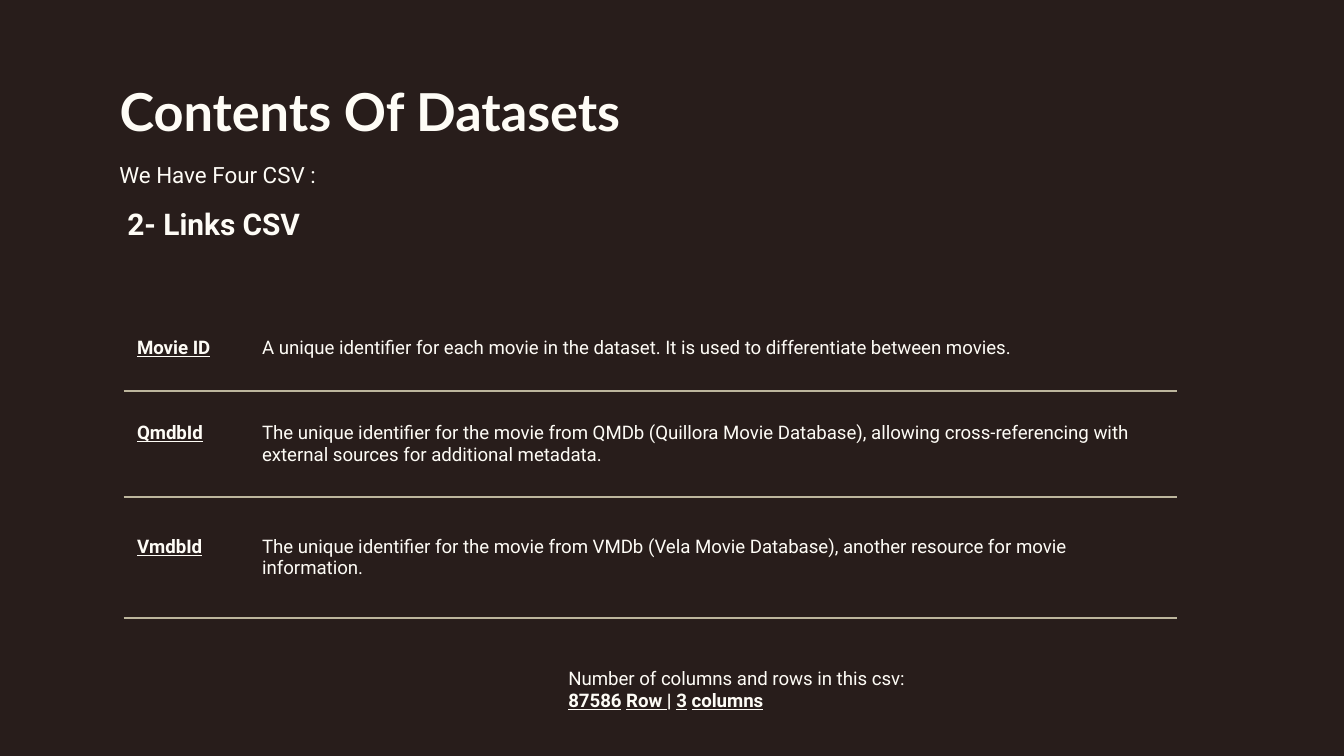
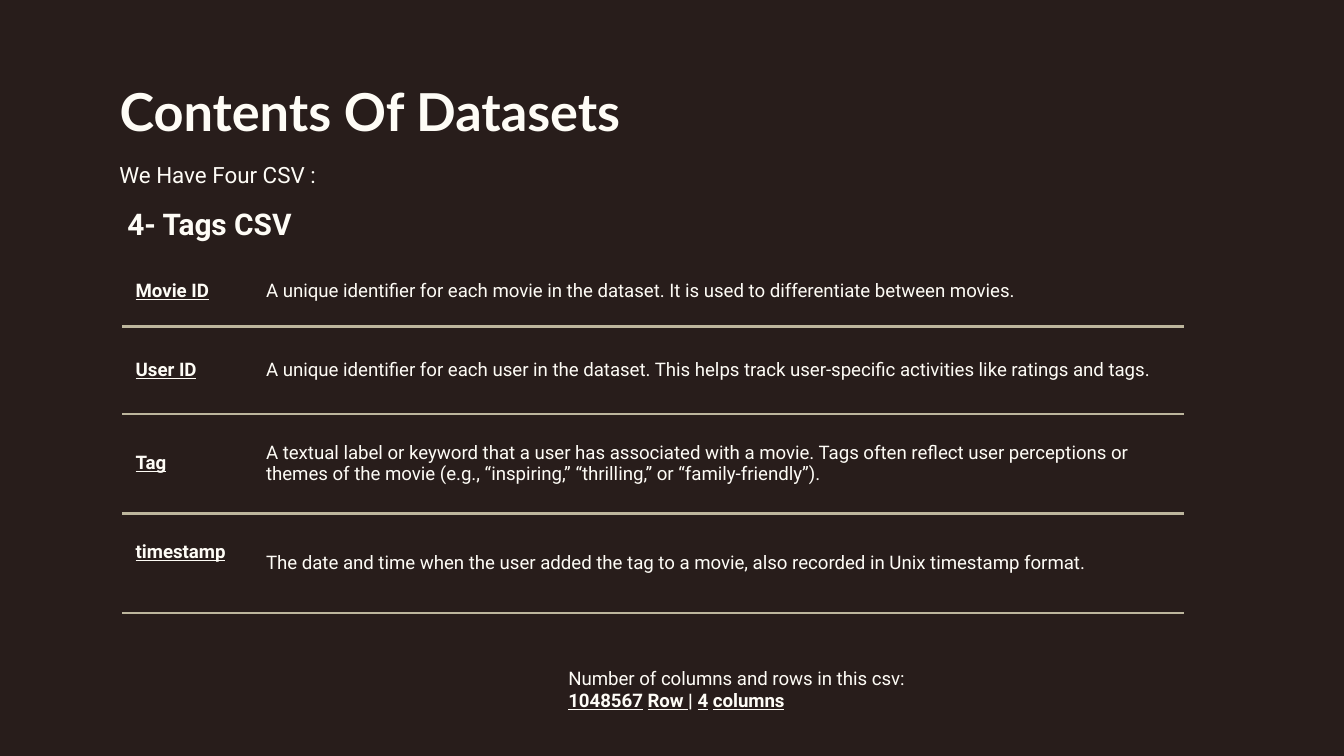
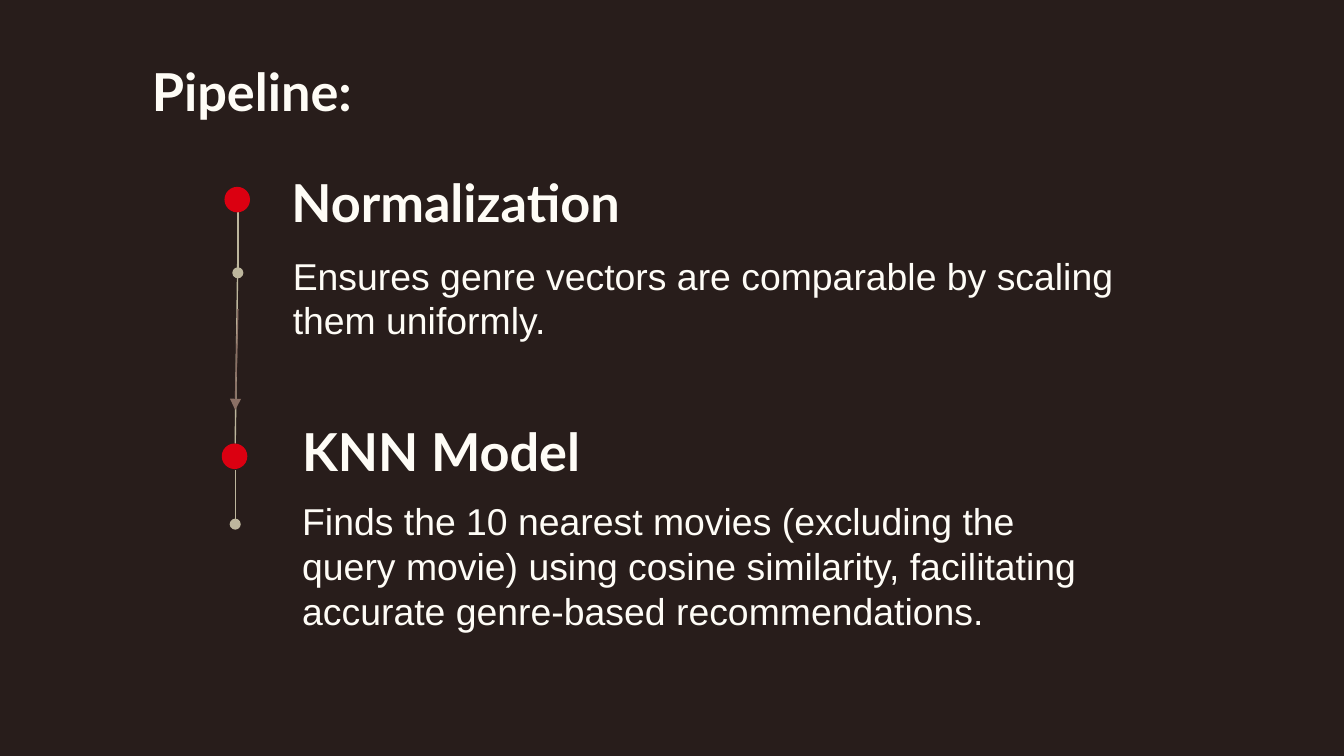
from dataclasses import dataclass

from lxml.etree import SubElement
from pptx import Presentation
from pptx.dml.color import RGBColor
from pptx.enum.shapes import MSO_CONNECTOR, MSO_SHAPE
from pptx.enum.text import MSO_ANCHOR, PP_ALIGN
from pptx.oxml import parse_xml
from pptx.oxml.ns import nsdecls, qn
from pptx.util import Inches, Pt

NO_STYLE_TABLE = "{2D5ABB26-0587-4C30-8999-92F81FD0307C}"


@dataclass(frozen=True)
class Theme:
    background: str = "281D1B"
    text: str = "FEFCF6"
    rule: str = "BDB69D"
    arrow: str = "8B7065"
    marker: str = "DB0011"
    heading_font: str = "Lato"
    table_font: str = "Roboto"
    body_font: str = "Arial"
    heading_size: float = 28
    body_size: float = 20
    section_size: float = 16
    intro_size: float = 12
    table_size: float = 10
    rule_width: float = 1.5
    connector_width: float = 0.75


class Deck:
    def __init__(self, theme):
        self.theme = theme
        self.presentation = Presentation()
        self.presentation.slide_width = Inches(10)
        self.presentation.slide_height = Inches(10) * 9 // 16
        fill = self.presentation.slide_master.background.fill
        fill.solid()
        fill.fore_color.rgb = RGBColor.from_string(theme.background)
        self.slide = None

    def format_run(self, run, font_name, size, bold=False, underline=False):
        font = run.font
        font.name = font_name
        font.size = Pt(size)
        font.bold = bold
        font.underline = underline
        font.color.rgb = RGBColor.from_string(self.theme.text)

    def fill_frame(self, text_frame, text, font_name, size, bold=False,
                   anchor=MSO_ANCHOR.TOP, line_spacing=None):
        text_frame.text = text
        text_frame.word_wrap = True
        text_frame.vertical_anchor = anchor
        text_frame.margin_left = text_frame.margin_right = Inches(0.1)
        text_frame.margin_top = text_frame.margin_bottom = Inches(0.1)
        paragraph = text_frame.paragraphs[0]
        paragraph.alignment = PP_ALIGN.LEFT
        if line_spacing:
            paragraph.line_spacing = line_spacing
        for run in paragraph.runs:
            self.format_run(run, font_name, size, bold)

    def add_slide(self, title, left, top, width, height):
        """Start a slide and place its title."""
        self.slide = self.presentation.slides.add_slide(self.presentation.slide_layouts[5])
        shape = self.slide.shapes.title
        shape.left, shape.top = Inches(left), Inches(top)
        shape.width, shape.height = Inches(width), Inches(height)
        self.fill_frame(shape.text_frame, title, self.theme.heading_font,
                        self.theme.heading_size, bold=True)

    def add_text(self, text, left, top, width, height, font_name, size, **style):
        shape = self.slide.shapes.add_textbox(
            Inches(left), Inches(top), Inches(width), Inches(height))
        self.fill_frame(shape.text_frame, text, font_name, size, **style)
        return shape

    def add_heading(self, text, left, top, width, height):
        self.add_text(text, left, top, width, height, self.theme.heading_font,
                      self.theme.heading_size, bold=True, anchor=MSO_ANCHOR.MIDDLE)

    def add_body(self, text, left, top, width, height):
        self.add_text(text, left, top, width, height,
                      self.theme.body_font, self.theme.body_size)

    def add_counts(self, row_count, column_count):
        theme = self.theme
        shape = self.add_text("Number of columns and rows in this csv:", 4.13, 4.86,
                              3.92, 0.76, theme.table_font, theme.table_size)
        paragraph = shape.text_frame.paragraphs[0]
        paragraph.add_line_break()
        parts = ((row_count, True), (" ", False), ("Row ", True), ("| ", False),
                 (column_count, True), (" ", False), ("columns", True))
        for text, underline in parts:
            run = paragraph.add_run()
            run.text = text
            self.format_run(run, theme.table_font, theme.table_size, True, underline)

    def add_field_table(self, left, top, column_widths, fields):
        """Add a table from fields of (row height, name, description, name is raised)."""
        frame = self.slide.shapes.add_table(
            len(fields), 2, Inches(left), Inches(top), Inches(sum(column_widths)),
            Inches(sum(field[0] for field in fields)))
        table = frame.table
        table.first_row = table.horz_banding = False
        next(frame.element.iter(qn("a:tableStyleId"))).text = NO_STYLE_TABLE
        for column, width in zip(table.columns, column_widths):
            column.width = Inches(width)
        for row, (height, name, description, raised) in zip(table.rows, fields):
            row.height = Inches(height)
            name_cell, description_cell = row.cells
            self.fill_cell(name_cell, name, is_name=True)
            self.fill_cell(description_cell, description)
            description_cell.text_frame.paragraphs[0].space_after = Pt(16)
            if raised:
                name_cell.margin_bottom = Inches(0.16)

    def fill_cell(self, cell, text, is_name=False):
        theme = self.theme
        cell.text_frame.text = text
        cell.vertical_anchor = MSO_ANCHOR.MIDDLE
        cell.margin_left = cell.margin_right = Inches(0.1)
        cell.margin_top = cell.margin_bottom = 0
        cell.fill.background()
        self.format_run(cell.text_frame.paragraphs[0].runs[0], theme.table_font,
                        theme.table_size, is_name, is_name)
        border = parse_xml(
            f'<a:lnB {nsdecls("a")} w="{Pt(theme.rule_width)}"><a:solidFill>'
            f'<a:srgbClr val="{theme.rule}"/></a:solidFill></a:lnB>')
        cell._tc.get_or_add_tcPr().insert(0, border)

    def add_line(self, start, end, color, tail=None):
        connector = self.slide.shapes.add_connector(
            MSO_CONNECTOR.STRAIGHT, *(Inches(value) for value in (*start, *end)))
        connector.line.width = Pt(self.theme.connector_width)
        connector.line.color.rgb = RGBColor.from_string(color)
        properties = connector.element.spPr
        if tail:
            SubElement(properties.find(qn("a:ln")), qn("a:tailEnd"), type=tail)
        SubElement(properties, qn("a:effectLst"))

    def add_marker(self, left, top, diameter=0.19):
        shape = self.slide.shapes.add_shape(
            MSO_SHAPE.OVAL, Inches(left), Inches(top), Inches(diameter), Inches(diameter))
        shape.shadow.inherit = False
        shape.fill.solid()
        shape.fill.fore_color.rgb = RGBColor.from_string(self.theme.marker)
        shape.line.fill.background()

    def add_dataset_slide(self, section, table_left, table_top, column_widths,
                          fields, row_count):
        theme = self.theme
        self.add_slide("Contents Of Datasets", 0.79, 0.49, 8.43, 0.63)
        self.add_field_table(table_left, table_top, column_widths, fields)
        self.add_text("We Have Four CSV :", 0.79, 1.07, 8.43, 0.33,
                      theme.table_font, theme.intro_size, line_spacing=1.15)
        self.add_text(section, 0.85, 1.43, 2.53, 0.55,
                      theme.table_font, theme.section_size, bold=True)
        self.add_counts(row_count, str(len(fields)))

    def add_pipeline_slide(self):
        theme = self.theme
        self.add_slide("Pipeline:", 1.03, 0.34, 7.63, 0.49)
        self.add_line((1.77, 1.88), (1.75, 3.3), theme.rule)
        self.add_line((1.77, 1.58), (1.77, 2.03), theme.rule, "oval")
        self.add_line((1.75, 3.5), (1.75, 3.9), theme.rule, "oval")
        self.add_marker(1.67, 1.39)
        self.add_marker(1.65, 3.3)
        self.add_line((1.77, 2.3), (1.75, 3.05), theme.arrow, "triangle")
        self.add_heading("Normalization", 2.07, 1.13, 3.09, 0.74)
        self.add_heading("KNN Model", 2.15, 2.86, 2.85, 0.98)
        self.add_body("Ensures genre vectors are comparable by scaling them uniformly.",
                      2.08, 1.78, 6.35, 0.89)
        self.add_body("Finds the 10 nearest movies (excluding the query movie) using cosine "
                      "similarity, facilitating accurate genre-based recommendations.",
                      2.15, 3.61, 6.18, 1.12)


MOVIE_ID = ("Movie ID", "A unique identifier for each movie in the dataset. "
            "It is used to differentiate between movies.", False)
LINK_FIELDS = (
    (0.64, *MOVIE_ID),
    (0.79, "QmdbId", "The unique identifier for the movie from QMDb (Quillora Movie "
     "Database), allowing cross-referencing with external sources for additional "
     "metadata.", True),
    (0.9, "VmdbId", "The unique identifier for the movie from VMDb (Vela Movie Database), "
     "another resource for movie information.", True),
)
TAG_FIELDS = (
    (0.52, *MOVIE_ID),
    (0.65, "User ID", "A unique identifier for each user in the dataset. This helps track "
     "user-specific activities like ratings and tags.", False),
    (0.74, "Tag", "A textual label or keyword that a user has associated with a movie. Tags "
     "often reflect user perceptions or themes of the movie (e.g., “inspiring,” "
     "“thrilling,” or “family-friendly”).", False),
    (0.74, "timestamp", "The date and time when the user added the tag to a movie, also "
     "recorded in Unix timestamp format.", True),
)


def main():
    deck = Deck(Theme())
    deck.add_dataset_slide("2- Links CSV", 0.92, 2.27, (0.93, 6.91), LINK_FIELDS, "87586")
    deck.add_dataset_slide("4- Tags CSV", 0.91, 1.91, (0.97, 6.93), TAG_FIELDS, "1048567")
    deck.add_pipeline_slide()
    deck.presentation.save("out.pptx")


if __name__ == "__main__":
    main()
